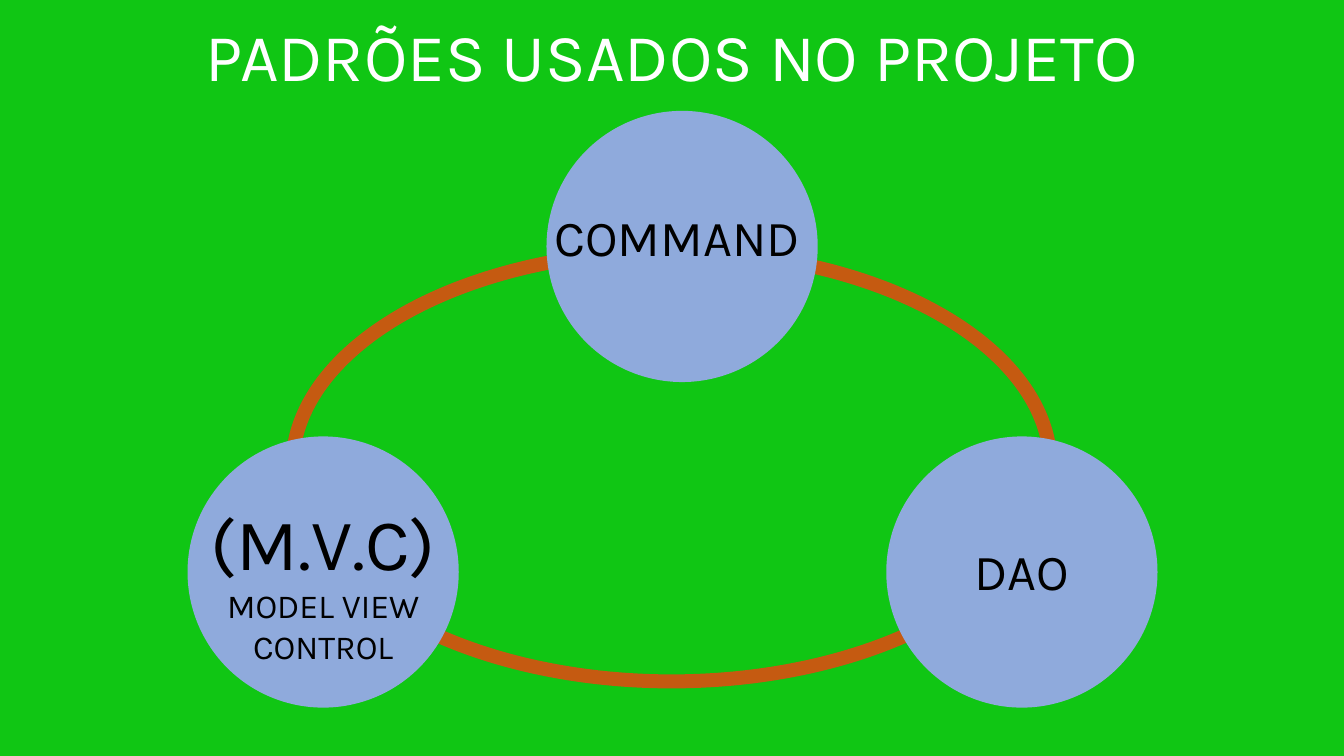
"""Builds a slide with three design patterns linked around a ring."""
import pptx
import pptx.util
import pptx.dml.color
import pptx.enum.shapes
import pptx.enum.text

WIDTH, HEIGHT = 13.33, 7.5
FONT = "Karla"
GREEN, WHITE, BLACK, ORANGE, BLUE = "10C614", "FFFFFF", "000000", "C55A11", "8FAADC"
TITLE = "PADRÕES USADOS NO PROJETO"
TITLE_BOX = (0, 0.09, WIDTH, 0.91)
RING_BOX = (2.9, 2.49, 7.52, 4.27)
RING_WIDTH = 10
DIAMETER = 2.69
ALIGN = pptx.enum.text.PP_ALIGN
PATTERNS = [
    {"at": (5.42, 1.1), "label": (2.73, 0.71), "drop": 0.9, "align": ALIGN.LEFT,
     "lines": [("COMMAND", 36)]},
    {"at": (8.79, 4.33), "label": (2.69, 0.71), "drop": 0.98, "align": ALIGN.CENTER,
     "lines": [("DAO", 36)]},
    {"at": (1.86, 4.33), "label": (2.47, 1.78), "drop": 0.56, "align": ALIGN.CENTER,
     "lines": [("(M.V.C)", 52), ("MODEL VIEW CONTROL", 24)]},
]


def rgb(value):
    """Return the colour of a hex string."""
    return pptx.dml.color.RGBColor.from_string(value)


def inches(box):
    """Return the lengths of a box in inches."""
    return [pptx.util.Inches(v) for v in box]


def write(tf, lines, color, align):
    """Write one paragraph for each line of text and size."""
    frame = {"word_wrap": True, "vertical_anchor": pptx.enum.text.MSO_ANCHOR.TOP,
             "auto_size": pptx.enum.text.MSO_AUTO_SIZE.NONE}
    for name, value in frame.items():
        setattr(tf, name, value)
    for i, (text, size) in enumerate(lines):
        p = tf.add_paragraph() if i else tf.paragraphs[0]
        p.alignment, p.line_spacing, p.space_before = align, 1.0, pptx.util.Pt(0)
        r = p.add_run()
        r.text = text
        for name, value in {"name": FONT, "size": pptx.util.Pt(size)}.items():
            setattr(r.font, name, value)
        r.font.color.rgb = rgb(color)


def add_ellipse(shapes, box, fill=None, line=None):
    """Add an ellipse with an optional fill and outline."""
    sp = shapes.add_shape(pptx.enum.shapes.MSO_SHAPE.OVAL, *inches(box))
    sp.shadow.inherit = False
    for part, color in ((sp.fill, fill), (sp.line.fill, line)):
        if color:
            part.solid()
            part.fore_color.rgb = rgb(color)
        else:
            part.background()
    return sp


def add_pattern(shapes, pattern):
    """Add a disc and its label as one group."""
    x, y = pattern["at"]
    w, h = pattern["label"]
    group = shapes.add_group_shape().shapes
    add_ellipse(group, (x, y, DIAMETER, DIAMETER), fill=BLUE)
    label = group.add_textbox(*inches((x + (DIAMETER - w) / 2, y + pattern["drop"], w, h)))
    write(label.text_frame, pattern["lines"], BLACK, pattern["align"])


def main():
    """Build and save the slide."""
    prs = pptx.Presentation()
    prs.slide_width, prs.slide_height = inches((WIDTH, HEIGHT))
    s = prs.slides.add_slide(prs.slide_layouts[5])
    s.background.fill.solid()
    s.background.fill.fore_color.rgb = rgb(GREEN)
    title = s.shapes.title
    for name, value in zip(("left", "top", "width", "height"), inches(TITLE_BOX)):
        setattr(title, name, value)
    write(title.text_frame, [(TITLE, 48)], WHITE, ALIGN.CENTER)
    ring = add_ellipse(s.shapes, RING_BOX, line=ORANGE)
    ring.line.width = pptx.util.Pt(RING_WIDTH)
    for pattern in PATTERNS:
        add_pattern(s.shapes, pattern)
    prs.save("out.pptx")


if __name__ == "__main__":
    main()
